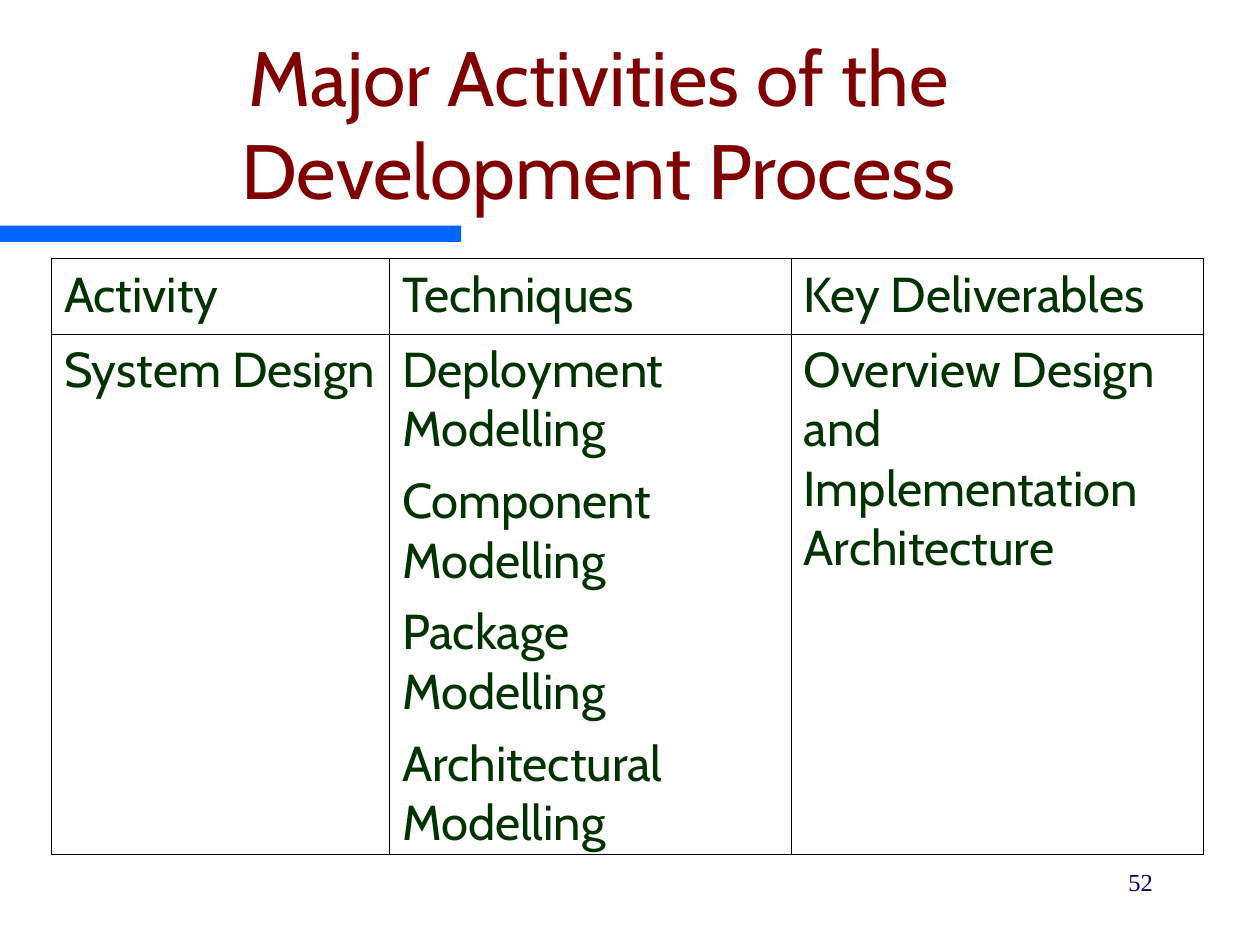
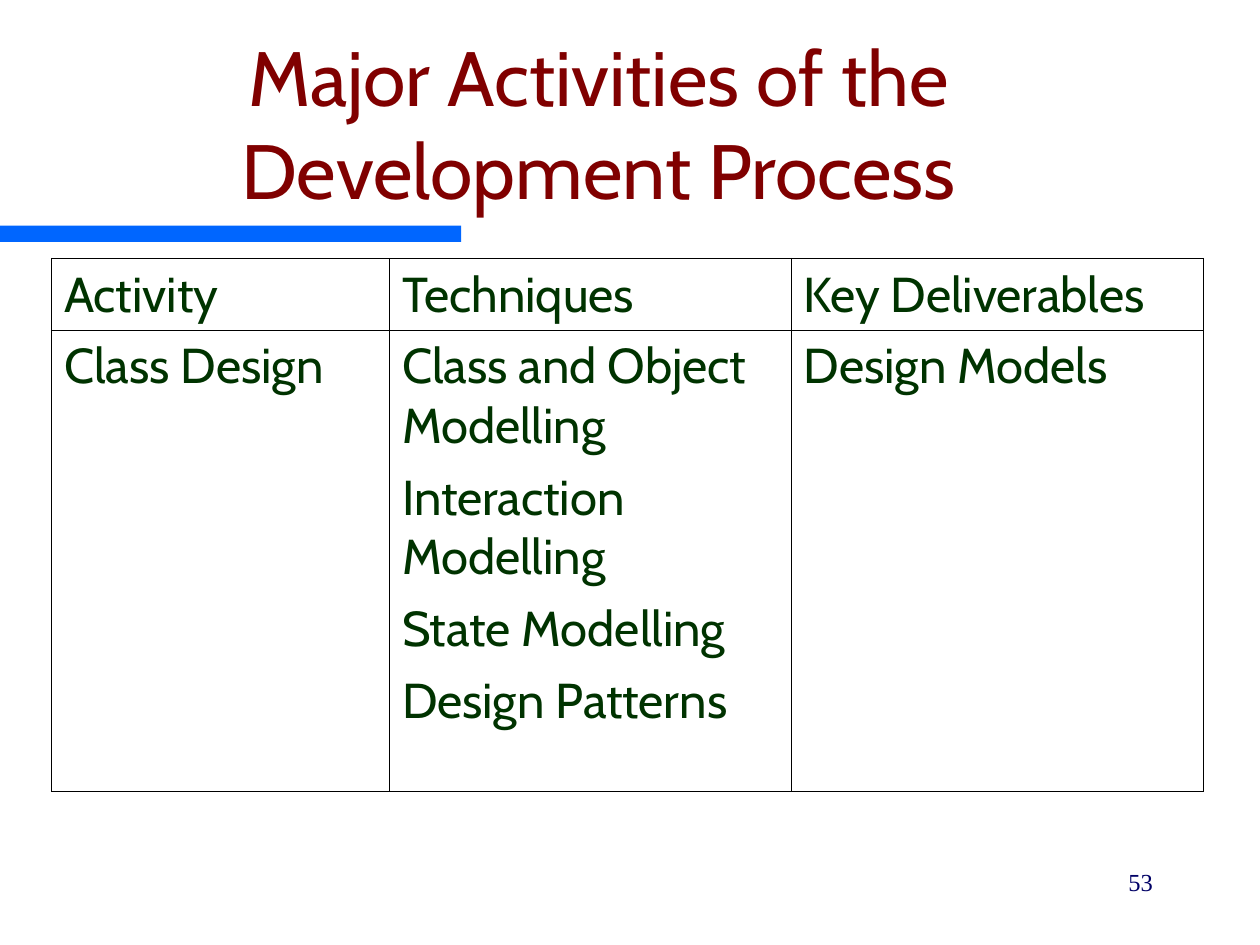
import pptx
import pptx.dml.color
import pptx.enum.shapes
import pptx.enum.text
import pptx.oxml.ns
import pptx.util
from lxml import etree

Cm = pptx.util.Cm
Pt = pptx.util.Pt
ALIGN = pptx.enum.text.PP_ALIGN
ANCHOR = pptx.enum.text.MSO_ANCHOR

TITLE = "Major Activities of the Development Process"
HEADINGS = ["Activity", "Techniques", "Key Deliverables"]
ACTIVITIES = [
    {
        "number": "52",
        "heights": [1.52, 10.49],
        "entries": [
            ["System Design"],
            ["Deployment Modelling", "Component Modelling",
             "Package Modelling", "Architectural Modelling"],
            ["Overview Design and Implementation Architecture"],
        ],
    },
    {
        "number": "53",
        "heights": [1.45, 9.3],
        "entries": [
            ["Class Design"],
            ["Class and Object Modelling", "Interaction Modelling",
             "State Modelling", "Design Patterns"],
            ["Design Models"],
        ],
    },
]


def color(hex_text):
    return pptx.dml.color.RGBColor.from_string(hex_text)


def write(frame, text, *, size, font, ink, align=ALIGN.LEFT, before=0,
          anchor=ANCHOR.TOP):
    frame.word_wrap = True
    frame.vertical_anchor = anchor
    for index, line in enumerate(text):
        paragraph = frame.add_paragraph() if index else frame.paragraphs[0]
        paragraph.alignment = align
        paragraph.space_before = Pt(before)
        run = paragraph.add_run()
        run.text = line
        run.font.size = Pt(size)
        run.font.name = font
        run.font.color.rgb = color(ink)


class Deck:
    title_style = dict(size=44, font="Cabin", ink="800000",
                       align=ALIGN.CENTER, anchor=ANCHOR.BOTTOM)
    cell_style = dict(size=28, font="Cabin", ink="003300", before=7)
    number_style = dict(size=14, font="Times New Roman", ink="000066",
                        align=ALIGN.RIGHT, before=8.8)
    band_color = "0066FF"
    border_color = "000000"
    outer_border, inner_border = 0.75, 0.45
    column_widths = [6.81, 8.1, 8.31]

    def __init__(self):
        self.presentation = pptx.Presentation()
        self.presentation.slide_width = Cm(25.4)
        self.presentation.slide_height = Cm(19.05)
        self.slide = None

    def new_slide(self):
        blank = self.presentation.slide_layouts[6]
        self.slide = self.presentation.slides.add_slide(blank)

    def band(self):
        band = self.slide.shapes.add_shape(
            pptx.enum.shapes.MSO_SHAPE.RECTANGLE,
            Cm(0), Cm(4.55), Cm(9.3), Cm(0.33))
        band.shadow.inherit = False
        band.fill.solid()
        band.fill.fore_color.rgb = color(self.band_color)
        band.line.fill.background()

    def text(self, words, left, top, width, height, **style):
        box = self.slide.shapes.add_textbox(
            Cm(left), Cm(top), Cm(width), Cm(height))
        write(box.text_frame, [words], **style)

    def title(self, words):
        self.text(words, 0.64, 1.27, 22.86, 3.18, **self.title_style)

    def number(self, digits):
        self.text(digits, 18.21, 17.35, 5.28, 1.27, **self.number_style)

    def borders(self, cell, outer_sides):
        properties = cell._tc.get_or_add_tcPr()
        for position, side in enumerate("LRTB"):
            weight = self.outer_border if side in outer_sides else self.inner_border
            line = etree.Element(pptx.oxml.ns.qn(f"a:ln{side}"), w=str(Pt(weight)))
            fill = etree.SubElement(line, pptx.oxml.ns.qn("a:solidFill"))
            etree.SubElement(fill, pptx.oxml.ns.qn("a:srgbClr"), val=self.border_color)
            properties.insert(position, line)

    def table(self, rows, heights):
        table = self.slide.shapes.add_table(
            len(rows), len(self.column_widths), Cm(1.04), Cm(5.21),
            Cm(sum(self.column_widths)), Cm(sum(heights))).table
        table.first_row = table.horz_banding = False
        for column, width in zip(table.columns, self.column_widths):
            column.width = Cm(width)
        last_row, last_column = len(rows) - 1, len(self.column_widths) - 1
        for r, (entries, height) in enumerate(zip(rows, heights)):
            table.rows[r].height = Cm(height)
            for c, lines in enumerate(entries):
                cell = table.cell(r, c)
                cell.fill.background()
                write(cell.text_frame, lines, **self.cell_style)
                edges = {"L": c == 0, "R": c == last_column,
                         "T": r == 0, "B": r == last_row}
                self.borders(cell, [side for side, outer in edges.items() if outer])


def main():
    deck = Deck()
    for activity in ACTIVITIES:
        deck.new_slide()
        deck.band()
        deck.title(TITLE)
        deck.table([[[heading] for heading in HEADINGS], activity["entries"]],
                   activity["heights"])
        deck.number(activity["number"])
    deck.presentation.save("out.pptx")


if __name__ == "__main__":
    main()
